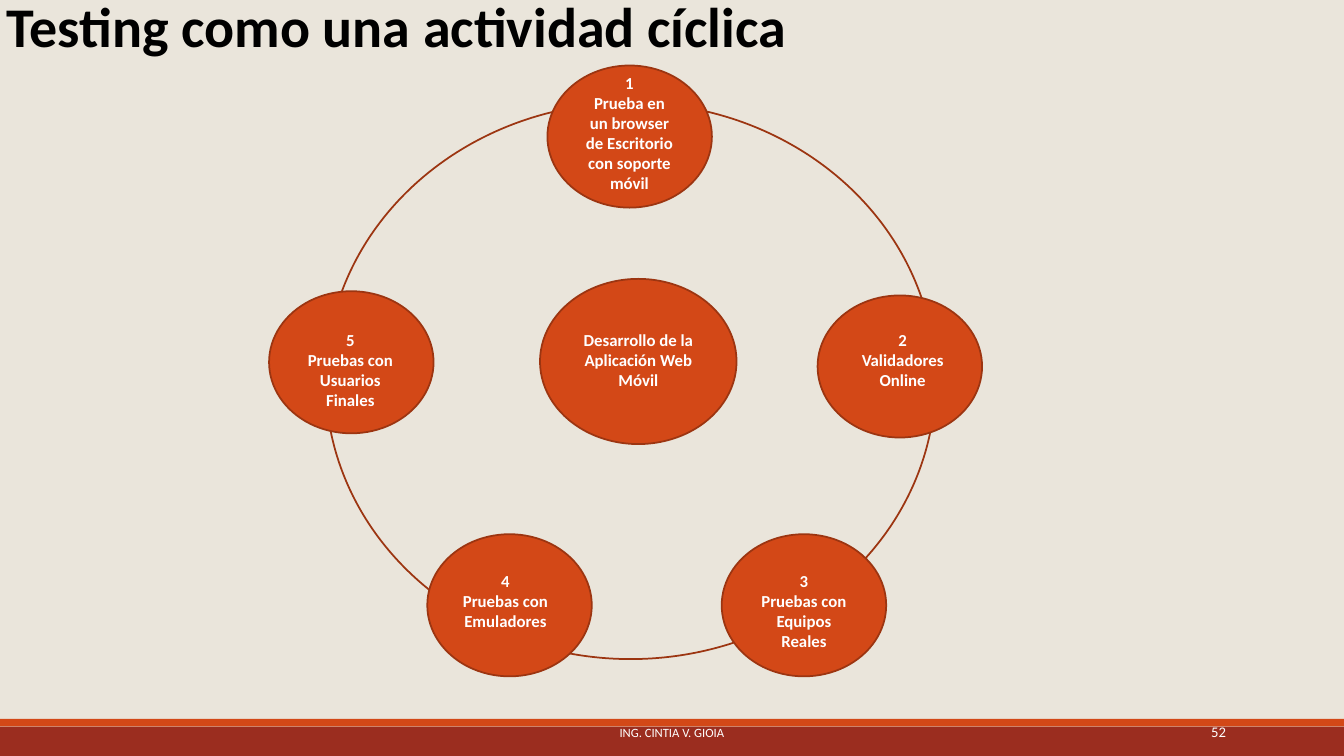
from dataclasses import dataclass

from pptx import Presentation
from pptx.dml.color import RGBColor as RGB
from pptx.enum.shapes import MSO_SHAPE as Shape
from pptx.enum.text import MSO_ANCHOR as Anchor, MSO_AUTO_SIZE as AutoSize, PP_ALIGN as Align
from pptx.util import Pt


@dataclass(frozen=True)
class Theme:
    font: str = "Calibri"
    background: RGB = RGB.from_string("EAE5DB")
    accent: RGB = RGB.from_string("D34817")
    outline: RGB = RGB.from_string("9C3511")
    footer: RGB = RGB.from_string("9B2D1F")
    dark: RGB = RGB.from_string("000000")
    light: RGB = RGB.from_string("FFFFFF")
    title_size: float = 40
    label_size: float = 12
    number_size: float = 10.5
    footer_size: float = 9
    line_width: float = 1.25


class SlideBuilder:
    def __init__(self, slide, theme):
        self.slide = slide
        self.theme = theme
        fill = slide.background.fill
        fill.solid()
        fill.fore_color.rgb = theme.background

    def set_text(self, sp, lines, size, color, bold, align, anchor):
        tf = sp.text_frame
        tf.word_wrap = True
        tf.auto_size = AutoSize.NONE
        tf.vertical_anchor = anchor
        tf.text = "\n".join(lines)
        for p in tf.paragraphs:
            p.alignment = align
            p.font.name = self.theme.font
            p.font.size = Pt(size)
            p.font.bold = bold
            p.font.color.rgb = color

    def title(self, text, left, top, width, height):
        sp = self.slide.shapes.title
        sp.left, sp.top, sp.width, sp.height = map(Pt, (left, top, width, height))
        self.set_text(sp, [text], self.theme.title_size, self.theme.dark, True, Align.LEFT, Anchor.TOP)

    def text(self, lines, box, size, bold=False, align=Align.CENTER, anchor=Anchor.MIDDLE):
        sp = self.slide.shapes.add_textbox(*map(Pt, box))
        self.set_text(sp, lines, size, self.theme.light, bold, align, anchor)

    def label(self, lines, box):
        self.text(lines, box, self.theme.label_size, bold=True, anchor=Anchor.TOP)

    def shape(self, kind, box, fill=None, line=None):
        sp = self.slide.shapes.add_shape(kind, *map(Pt, box))
        sp.shadow.inherit = False
        if fill is None:
            sp.fill.background()
        else:
            sp.fill.solid()
            sp.fill.fore_color.rgb = fill
        if line is None:
            sp.line.fill.background()
        else:
            sp.line.color.rgb = line
            sp.line.width = Pt(self.theme.line_width)

    def bar(self, top, height, fill):
        self.shape(Shape.RECTANGLE, (0, top, 960, height), fill)

    def ring(self, box):
        self.shape(Shape.OVAL, box, line=self.theme.outline)

    def node(self, box):
        self.shape(Shape.OVAL, box, self.theme.accent, self.theme.outline)


NODE_SIZE = (117.5, 101.5)
LABEL_WIDTH = 78.5
STEPS = [
    ("Prueba en un browser de Escritorio con soporte móvil", (391, 46.8), (410.4, 48.2), 94.5),
    ("Validadores Online", (584, 211), (605.5, 231.8), 51),
    ("Pruebas con Equipos Reales", (515.5, 381.6), (535, 403.9), 65.5),
    ("Pruebas con Emuladores", (305.2, 381.6), (321.8, 403.9), 51),
    ("Pruebas con Usuarios Finales", (192.2, 208), (211, 231.8), 65.5),
]


def main():
    prs = Presentation()
    prs.slide_width, prs.slide_height = Pt(960), Pt(540)
    theme = Theme()
    s = SlideBuilder(prs.slides.add_slide(prs.slide_layouts[5]), theme)

    s.bar(519, 21, theme.footer)
    s.bar(513.5, 5.3, theme.accent)
    s.title("Testing como una actividad cíclica", -2.2, -10, 698, 152.6)

    s.ring((232.6, 73.4, 435.6, 397.4))
    s.node((385.7, 199.2, 140.4, 118))
    s.label(["Desarrollo de la Aplicación Web Móvil"], (403, 231.8, 106, 51))
    for number, (text, node_at, label_at, height) in enumerate(STEPS, 1):
        s.node((*node_at, *NODE_SIZE))
        s.label([str(number), text], (*label_at, LABEL_WIDTH, height))

    s.text(["ING. CINTIA V. GIOIA"], (290.2, 508.5, 379.4, 28.8), theme.footer_size)
    s.text(["52"], (779.8, 508.5, 103, 28.8), theme.number_size, align=Align.RIGHT)
    prs.save("out.pptx")


if __name__ == "__main__":
    main()
